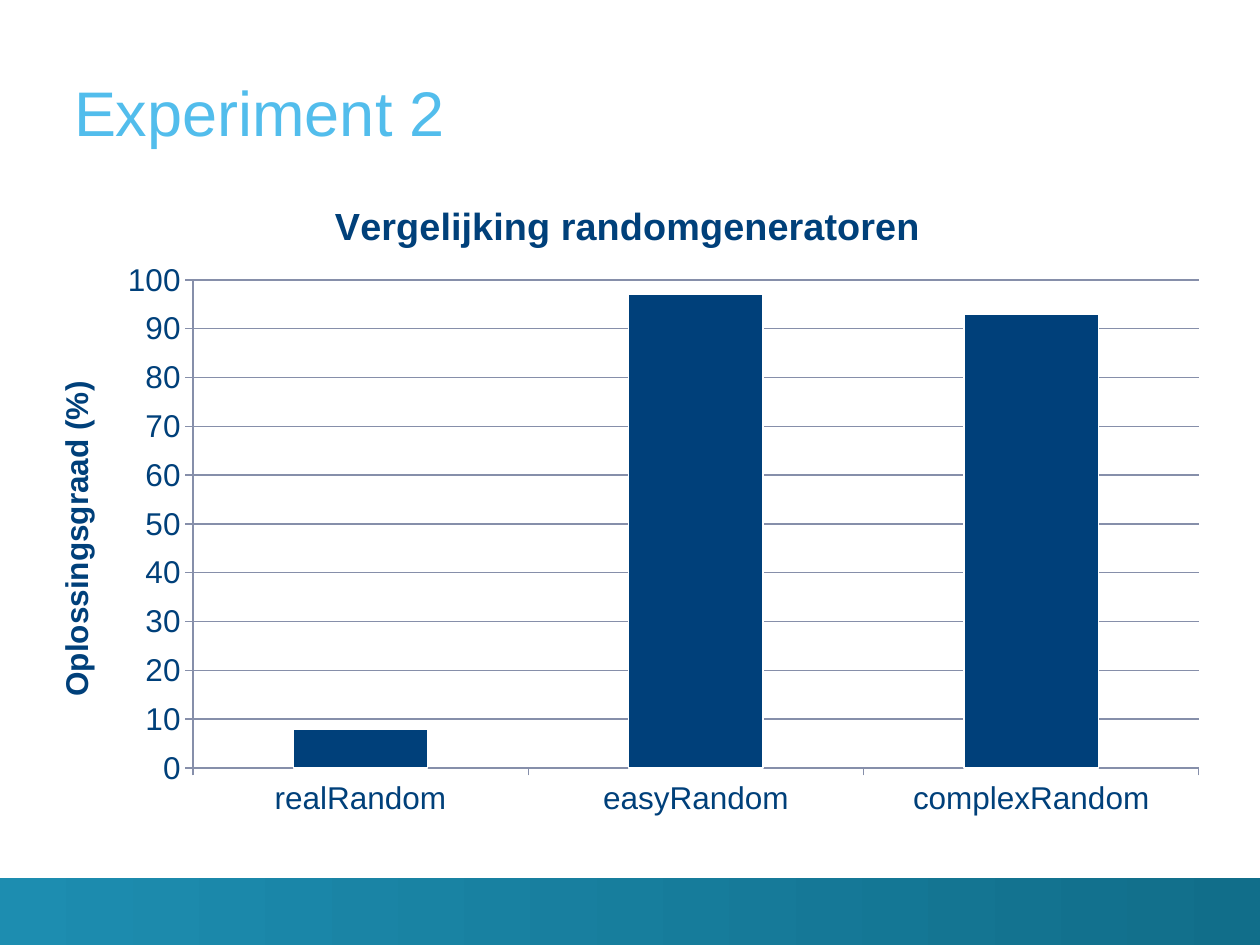
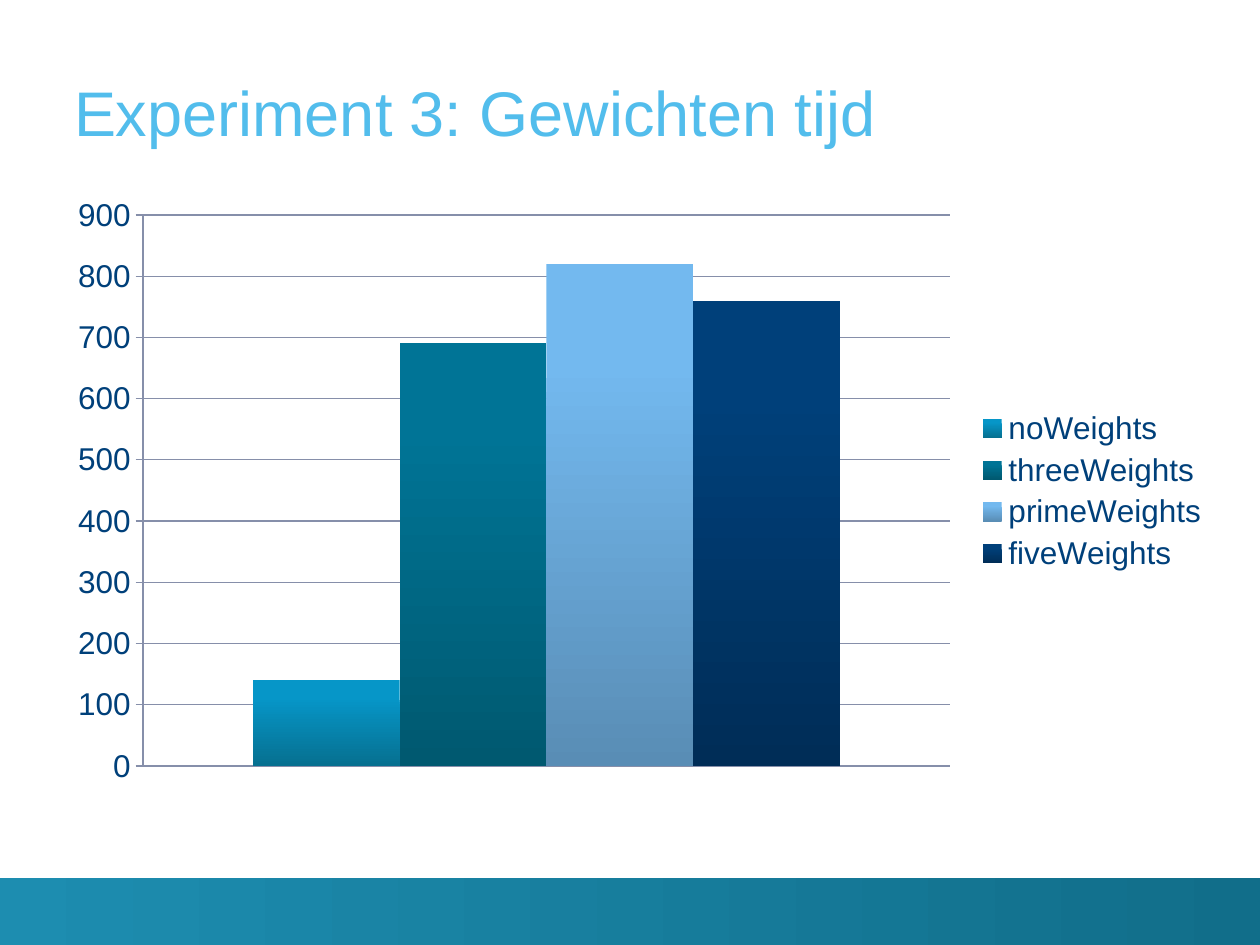
from lxml.etree import SubElement
from pptx import Presentation
from pptx.chart.data import CategoryChartData
from pptx.dml.color import RGBColor
from pptx.enum.chart import XL_CHART_TYPE as ChartType, XL_LEGEND_POSITION as LegendPosition
from pptx.enum.chart import XL_TICK_MARK as TickMark
from pptx.enum.shapes import MSO_SHAPE as Shape
from pptx.enum.text import MSO_ANCHOR as Anchor, MSO_AUTO_SIZE as AutoSize, PP_ALIGN as Align
from pptx.oxml.ns import qn
from pptx.util import Emu, Pt

FONT = "Arial"
NAVY = RGBColor(0x00, 0x40, 0x7A)
SKY = RGBColor(0x52, 0xBD, 0xEC)
GRID = RGBColor(0x86, 0x8F, 0xAA)
WHITE = RGBColor(0xFF, 0xFF, 0xFF)
BAND_COLORS = RGBColor(0x1D, 0x8D, 0xB0), RGBColor(0x11, 0x6E, 0x8A)
PX = 914400 / 126
WIDTH, HEIGHT = 1260, 945

# Each series: name, values, colour at the top and at the bottom of its bars
EXPERIMENTS = [
    dict(title="Experiment 2", chart_title="Vergelijking randomgeneratoren",
         axis_title="Oplossingsgraad (%)", top=100, step=10,
         box=(34, 175, 1188, 654), plot=(193, 280, 1006, 488),
         categories=["realRandom", "easyRandom", "complexRandom"],
         series=[("Oplossingsgraad", [8, 97, 93], NAVY, NAVY)]),
    dict(title="Experiment 3: Gewichten tijd", chart_title=None,
         axis_title=None, top=900, step=100,
         box=(54, 186, 1168, 610), plot=(143, 215, 807, 551),
         categories=["1"],
         series=[("noWeights", [140], RGBColor(0x06, 0x96, 0xC8), RGBColor(0x06, 0x70, 0x90)),
                 ("threeWeights", [690], RGBColor(0x00, 0x74, 0x96), RGBColor(0x00, 0x59, 0x70)),
                 ("primeWeights", [820], RGBColor(0x73, 0xB9, 0xEF), RGBColor(0x59, 0x8D, 0xB5)),
                 ("fiveWeights", [760], NAVY, RGBColor(0x00, 0x2D, 0x57))]),
]


def px(*lengths):
    return [Emu(round(length * PX)) for length in lengths]


def write(frame, text, size, color=NAVY, bold=False):
    para = frame.paragraphs[0]
    span = para.add_run()
    span.text = text
    span.font.name, span.font.size, span.font.bold = FONT, Pt(size), bold
    span.font.color.rgb = color
    return para


deck = Presentation()
deck.slide_width, deck.slide_height = px(WIDTH, HEIGHT)
layout = deck.slide_layouts.get_by_name("Title Only")

# Shared title place
heading = layout.placeholders[0]
heading.left, heading.top, heading.width, heading.height = px(74, 25, 1148, 124)

for number, experiment in enumerate(EXPERIMENTS):
    page = deck.slides.add_slide(layout)

    # Shared footer band, built once and moved to the layout
    if number == 0:
        band = page.shapes.add_shape(Shape.RECTANGLE, *px(0, 878, WIDTH, 67))
        band.shadow.inherit = False
        band.line.fill.background()
        band.fill.gradient()
        band.fill.gradient_angle = 0
        for stop, color in zip(band.fill.gradient_stops, BAND_COLORS):
            stop.color.rgb = color
        layout.shapes.element.insert(2, band.element)

    # Title
    frame = page.shapes.title.text_frame
    frame.margin_left = frame.margin_right = frame.margin_top = frame.margin_bottom = 0
    frame.vertical_anchor = Anchor.BOTTOM
    frame.auto_size = AutoSize.NONE
    write(frame, experiment["title"], 36, SKY).alignment = Align.LEFT

    # Chart and its data
    data = CategoryChartData()
    data.categories = experiment["categories"]
    for name, values, *_ in experiment["series"]:
        data.add_series(name, values)
    box = experiment["box"]
    chart = page.shapes.add_chart(ChartType.COLUMN_CLUSTERED, *px(*box), data).chart
    chart.font.name, chart.font.size = FONT, Pt(18)
    chart.font.color.rgb = NAVY

    # Chart title and legend
    chart.has_title = bool(experiment["chart_title"])
    if chart.has_title:
        write(chart.chart_title.text_frame, experiment["chart_title"], 21.6, bold=True)
    chart.has_legend = len(experiment["series"]) > 1
    if chart.has_legend:
        chart.legend.position = LegendPosition.RIGHT
        chart.legend.include_in_layout = False

    # Axes
    value_axis, category_axis = chart.value_axis, chart.category_axis
    value_axis.minimum_scale, value_axis.maximum_scale = 0, experiment["top"]
    value_axis.major_unit = experiment["step"]
    value_axis.has_major_gridlines = True
    for line in (value_axis.major_gridlines.format.line, value_axis.format.line,
                 category_axis.format.line):
        line.color.rgb = GRID
        line.width = Pt(0.75)
    value_axis.major_tick_mark = category_axis.major_tick_mark = TickMark.OUTSIDE
    category_axis.visible = len(experiment["categories"]) > 1
    if experiment["axis_title"]:
        write(value_axis.axis_title.text_frame, experiment["axis_title"], 18, bold=True)

    # Bars
    bars = chart.plots[0]
    bars.gap_width, bars.overlap, bars.vary_by_categories = 150, 0, False
    for series, (*_, upper, lower) in zip(bars.series, experiment["series"]):
        fill = series.format.fill
        if upper == lower:
            fill.solid()
            fill.fore_color.rgb = upper
            series.format.line.color.rgb = WHITE
            series.format.line.width = Pt(0.75)
        else:
            fill.gradient()
            fill.gradient_angle = 270
            for stop, color, place in zip(fill.gradient_stops, (upper, lower), (0.2, 1)):
                stop.color.rgb, stop.position = color, place
            series.format.line.fill.background()

    # Plot area, as shares of the chart box
    area = chart.element.find(".//" + qn("c:plotArea"))
    for old in area.findall(qn("c:layout")):
        area.remove(old)
    place = SubElement(area, qn("c:layout"))
    area.insert(0, place)
    manual = SubElement(place, qn("c:manualLayout"))
    left, top, width, height = experiment["plot"]
    shares = {"x": (left - box[0]) / box[2], "y": (top - box[1]) / box[3],
              "w": width / box[2], "h": height / box[3]}
    settings = {"layoutTarget": "inner", "xMode": "edge", "yMode": "edge"}
    settings.update({key: f"{share:.4f}" for key, share in shares.items()})
    for key, setting in settings.items():
        SubElement(manual, qn("c:" + key)).set("val", setting)

deck.save("out.pptx")
